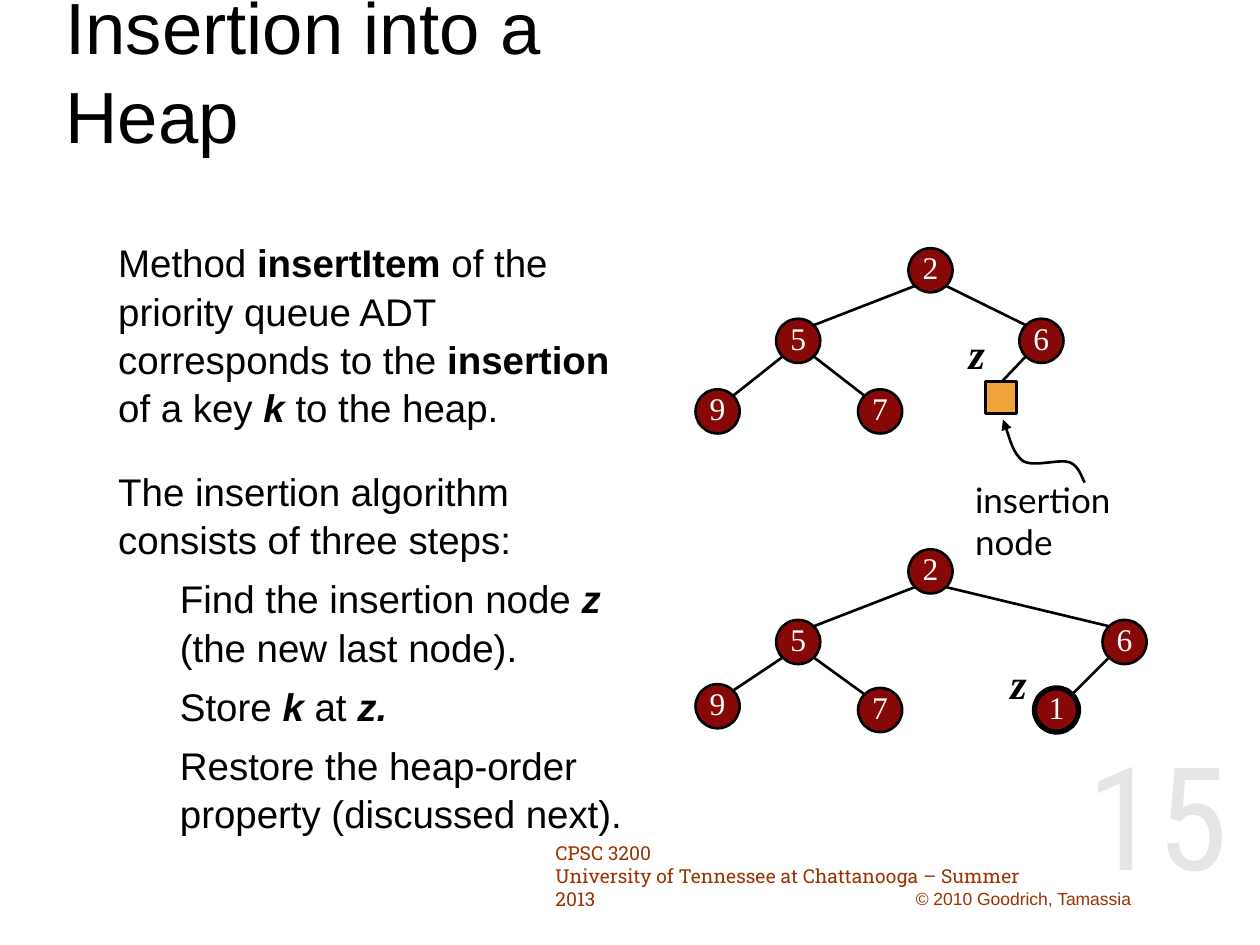
from lxml.etree import SubElement
from pptx import Presentation
from pptx.dml.color import RGBColor
from pptx.enum.shapes import MSO_CONNECTOR, MSO_SHAPE
from pptx.enum.text import MSO_ANCHOR, MSO_AUTO_SIZE, PP_ALIGN
from pptx.oxml.ns import qn
from pptx.util import Inches, Pt

COLORS = {
    "ink": "000000",
    "node": "860908",
    "label": "FFFFFF",
    "insertion": "F0A43A",
    "footer": "993300",
    "number": "E5E5E5",
}
NODE_SIZE = 0.35
NEAR, FAR = 0.05, 0.3
BODY = [
    (0, [("Method ", ""), ("insertItem", "b"),
         (" of the priority queue ADT corresponds to the ", ""),
         ("insertion", "b"), (" of a key ", ""), ("k", "bi"), (" to the heap.", "")]),
    (0, [("The insertion algorithm consists of three steps:", "")]),
    (1, [("Find the insertion node ", ""), ("z", "bi"), (" (the new last node).", "")]),
    (1, [("Store ", ""), ("k", "bi"), (" at ", ""), ("z.", "bi")]),
    (1, [("Restore the heap-order property (discussed next).", "")]),
]
TREE_BEFORE = {"2": (7.21, 1.97), "5": (6.16, 2.53), "6": (8.09, 2.53),
               "9": (5.52, 3.09), "7": (6.81, 3.09)}
TREE_AFTER = {"2": (7.21, 4.36), "5": (6.16, 4.92), "6": (8.75, 4.92),
              "9": (5.52, 5.43), "7": (6.81, 5.46), "1": (8.21, 5.46)}
EDGES = [("2", "5"), ("2", "6"), ("5", "9"), ("5", "7"), ("6", "1")]
POINTER = [(8.61, 3.83), (8.59, 3.81), (8.57, 3.7), (8.49, 3.67), (8.41, 3.64),
           (8.21, 3.71), (8.12, 3.66), (8.04, 3.6), (7.99, 3.4), (7.96, 3.33)]


def color(name):
    """Return the named colour."""
    return RGBColor.from_string(COLORS[name])


def write_text(para, text, *, font="Arial", size=22, ink="ink", bold=False, italic=False):
    """Append a formatted span to a paragraph."""
    span = para.add_run()
    span.text = text
    span.font.name, span.font.size = font, Pt(size)
    span.font.bold, span.font.italic = bold, italic
    span.font.color.rgb = color(ink)


def place(shape, left, top, width, height):
    """Move and size a shape in inches."""
    shape.left, shape.top = Inches(left), Inches(top)
    shape.width, shape.height = Inches(width), Inches(height)


def add_box(page, left, top, width, height, lines, *, anchor=MSO_ANCHOR.TOP,
            align=PP_ALIGN.LEFT, wrap=True, **style):
    """Add a text box with one paragraph for each line."""
    box = page.shapes.add_textbox(*map(Inches, (left, top, width, height)))
    frame = box.text_frame
    frame.word_wrap, frame.vertical_anchor = wrap, anchor
    for index, line in enumerate(lines):
        para = frame.add_paragraph() if index else frame.paragraphs[0]
        para.alignment = align
        write_text(para, line, **style)


def add_title(page, text):
    """Format and fill the title placeholder."""
    title = page.shapes.title
    place(title, 0.42, -0.08, 5.5, 1.25)
    frame = title.text_frame
    frame.auto_size, frame.word_wrap = MSO_AUTO_SIZE.NONE, True
    frame.vertical_anchor = MSO_ANCHOR.MIDDLE
    para = frame.paragraphs[0]
    para.alignment, para.line_spacing = PP_ALIGN.LEFT, 1.03
    write_text(para, text, size=41.4)


def add_body(page):
    """Add the explanation with its indented steps."""
    box = page.shapes.add_textbox(*map(Inches, (0.33, 1.83, 4.75, 5.08)))
    frame = box.text_frame
    frame.word_wrap = True
    for index, (level, spans) in enumerate(BODY):
        para = frame.add_paragraph() if index else frame.paragraphs[0]
        para.level, para.line_spacing = level, 1.05
        para.space_before = Pt((6 if level else 20) if index else 0)
        para._p.get_or_add_pPr().set("marL", str(Inches(1 if level else 0.51)))
        for text, style in spans:
            write_text(para, text, bold="b" in style, italic="i" in style)


def add_shape(page, kind, left, top, size, fill, weight=1.5):
    """Add a square-sized outlined preset shape."""
    shape = page.shapes.add_shape(kind, *map(Inches, (left, top, size, size)))
    shape.shadow.inherit = False
    shape.fill.solid()
    shape.fill.fore_color.rgb = color(fill)
    shape.line.color.rgb, shape.line.width = color("ink"), Pt(weight)
    return shape


def add_node(page, key, left, top, weight):
    """Add a circular heap node with its key."""
    node = add_shape(page, MSO_SHAPE.OVAL, left, top, NODE_SIZE, "node", weight)
    frame = node.text_frame
    frame.margin_left = frame.margin_right = frame.margin_top = 0
    frame.margin_bottom = Inches(0.05)
    frame.word_wrap, frame.vertical_anchor = False, MSO_ANCHOR.MIDDLE
    para = frame.paragraphs[0]
    para.alignment = PP_ALIGN.CENTER
    write_text(para, key, font="Times New Roman", size=18, ink="label")


def add_edge(page, start, end):
    """Add a straight line between two points."""
    edge = page.shapes.add_connector(MSO_CONNECTOR.STRAIGHT, *map(Inches, start + end))
    edge.line.color.rgb, edge.line.width = color("ink"), Pt(1.5)
    SubElement(edge._element.spPr, qn("a:effectLst"))


def add_tree(page, nodes, highlighted=None):
    """Add the nodes of a heap and the edges that join them."""
    for key, (left, top) in nodes.items():
        add_node(page, key, left, top, 3 if key == highlighted else 1.5)
    for parent, child in EDGES:
        if child in nodes:
            (px, py), (cx, cy) = nodes[parent], nodes[child]
            from_x, to_x = (NEAR, FAR) if cx < px else (FAR, NEAR)
            add_edge(page, (px + from_x, py + FAR), (cx + to_x, cy + NEAR))


def add_pointer(page):
    """Add the curved arrow to the insertion node."""
    points = [(Inches(x), Inches(y)) for x, y in POINTER]
    builder = page.shapes.build_freeform(*points[0])
    builder.add_line_segments(points[1:], close=False)
    pointer = builder.convert_to_shape()
    outline = pointer._element.spPr.find(".//" + qn("a:path"))
    segments = outline.findall(qn("a:lnTo"))
    for index in range(0, len(segments), 3):
        curve = SubElement(outline, qn("a:cubicBezTo"))
        for segment in segments[index:index + 3]:
            curve.append(segment[0])
            outline.remove(segment)
    pointer.shadow.inherit = False
    pointer.fill.background()
    pointer.line.color.rgb, pointer.line.width = color("ink"), Pt(1.5)
    SubElement(pointer.line._get_or_add_ln(), qn("a:tailEnd"), type="triangle")


def main():
    """Build and save the slide."""
    deck = Presentation()
    deck.slide_width, deck.slide_height = Inches(10), Inches(7.5)
    page = deck.slides.add_slide(deck.slide_layouts[5])
    add_title(page, "Insertion into a Heap")
    add_body(page)
    add_tree(page, TREE_BEFORE)
    add_shape(page, MSO_SHAPE.RECTANGLE, 7.82, 3.03, 0.25, "insertion")
    add_edge(page, (7.95, 3.03), (8.14, 2.83))
    add_pointer(page)
    add_box(page, 7.64, 3.75, 1.7, 0.43, ["insertion node"], font="Lato", size=20)
    add_tree(page, TREE_AFTER, highlighted="1")
    for left, top in [(7.59, 2.55), (7.92, 5.17)]:
        add_box(page, left, top, 0.33, 0.5, ["z"], wrap=False,
                font="Times New Roman", size=24, bold=True, italic=True)
    add_box(page, 4.31, 6.81, 4.07, 0.28,
            ["CPSC 3200", "University of Tennessee at Chattanooga – Summer 2013"],
            anchor=MSO_ANCHOR.MIDDLE, font="Roboto Slab", size=11, ink="footer")
    add_box(page, 8.23, 5.99, 1.62, 0.93, ["15"], anchor=MSO_ANCHOR.MIDDLE,
            align=PP_ALIGN.RIGHT, font="Roboto Condensed", size=82, ink="number")
    add_box(page, 7.17, 6.93, 2.33, 0.4, ["© 2010 Goodrich, Tamassia"],
            anchor=MSO_ANCHOR.MIDDLE, size=10, ink="footer")
    deck.save("out.pptx")


if __name__ == "__main__":
    main()
